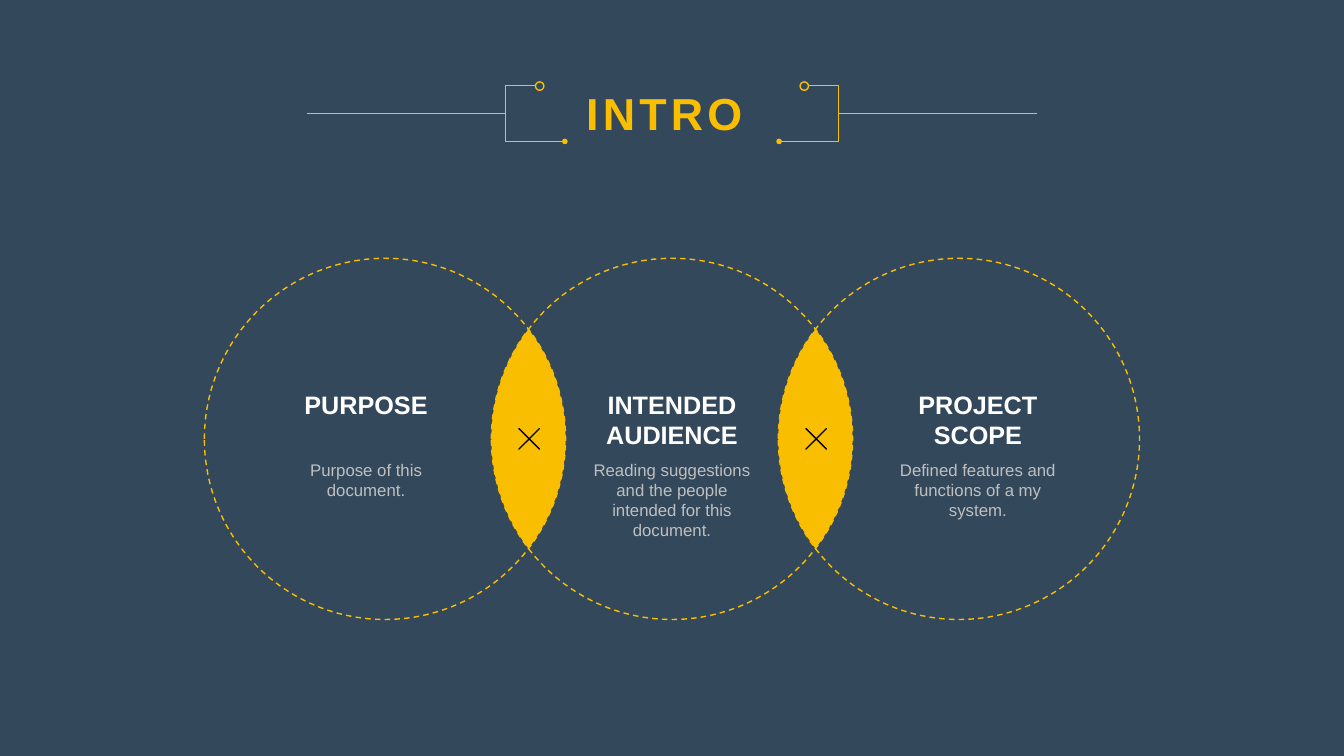
import math
from dataclasses import dataclass

import lxml.etree
import pptx
import pptx.dml.color
import pptx.enum.dml
import pptx.enum.shapes
import pptx.enum.text
import pptx.oxml.ns
import pptx.util

PX = 6350  # EMU in one px: the slide is 1920 by 1080 px
WIDTH, HEIGHT = 1920, 1080
CENTER_X = WIDTH // 2
CIRCLE_Y = 627
RADIUS = 258
PITCH = 410
SHAPE = pptx.enum.shapes.MSO_SHAPE
qn = pptx.oxml.ns.qn


@dataclass(frozen=True)
class Theme:
    veil: str = "001B33"
    veil_alpha: int = 80
    accent: str = "FABE00"
    heading: str = "FFFFFF"
    body: str = "BFBFBF"
    cross: str = "000000"
    font: str = "Arial"
    title_size: int = 32
    heading_size: int = 18
    body_size: int = 12
    thin: float = 0.5
    line: float = 1


@dataclass(frozen=True)
class Topic:
    center_x: int
    heading: str
    body: str
    heading_height: int = 102
    body_height: int = 102


@dataclass(frozen=True)
class BracketLine:
    """Ends as distances from the slide's centre line and heights."""
    x1: int
    y1: int
    x2: int
    y2: int
    dot: bool = False


THEME = Theme()
TOPICS = [
    Topic(523, "PURPOSE", "Purpose of this document.", 58, 72),
    Topic(1397, "PROJECT SCOPE", "Defined features and functions of a my system."),
    Topic(960, "INTENDED AUDIENCE",
          "Reading suggestions and the people intended for this document."),
]
BRACKET = [
    BracketLine(195, 122, 238, 122),
    BracketLine(153, 202, 238, 202, dot=True),
    BracketLine(238, 122, 238, 202),
    BracketLine(238, 162, 522, 162),
]


def px(n: float) -> pptx.util.Emu:
    return pptx.util.Emu(round(n * PX))


def rgb(color: str) -> pptx.dml.color.RGBColor:
    return pptx.dml.color.RGBColor.from_string(color)


def fill_flat(sp, color: str) -> None:
    """Give a shape a plain fill with no line or shadow."""
    sp.shadow.inherit = False
    sp.fill.solid()
    sp.fill.fore_color.rgb = rgb(color)
    sp.line.fill.background()


def add_veil(s) -> None:
    """Cover the white background with a translucent dark sheet."""
    sp = s.shapes.add_shape(SHAPE.RECTANGLE, 0, 0, px(WIDTH), px(HEIGHT))
    fill_flat(sp, THEME.veil)
    color = sp._element.spPr.find(f"{qn('a:solidFill')}/{qn('a:srgbClr')}")
    lxml.etree.SubElement(color, qn("a:alpha"), val=str(THEME.veil_alpha * 1000))


def add_outline(s, kind, center_x: int, center_y: int, size: int, color: str):
    """Add an unfilled square preset shape around a centre."""
    sp = s.shapes.add_shape(kind, px(center_x - size / 2), px(center_y - size / 2),
                            px(size), px(size))
    sp.shadow.inherit = False
    sp.fill.background()
    sp.line.color.rgb = rgb(color)
    sp.line.width = pptx.util.Pt(THEME.line)
    return sp


def add_lens(s, center_x: int) -> None:
    """Fill the overlap of two neighbouring circles with four curved quarters."""
    angle = math.acos(PITCH / 2 / RADIUS)
    pull = 4 / 3 * math.tan(angle / 4) * RADIUS
    half_width = RADIUS - PITCH / 2
    half_height = RADIUS * math.sin(angle)
    lean = (pull * math.sin(angle), half_height - pull * math.cos(angle))
    quarter = [(0, half_height), lean, (half_width, pull), (half_width, 0)]
    outline = [(0, -half_height)]
    for side in (1, -1):
        upper = [(side * x, -side * y) for x, y in quarter]
        lower = [(side * x, side * y) for x, y in reversed(quarter)]
        outline += upper[1:] + lower[1:]
    points = [(px(center_x + x), px(CIRCLE_Y + y)) for x, y in outline]
    builder = s.shapes.build_freeform(*points[0])
    builder.add_line_segments(points[1:], close=True)
    sp = builder.convert_to_shape()
    fill_flat(sp, THEME.accent)
    segments = list(sp._element.iter(qn("a:lnTo")))
    for i in range(0, len(segments), 3):
        curve = lxml.etree.Element(qn("a:cubicBezTo"))
        segments[i].addprevious(curve)
        for segment in segments[i:i + 3]:
            curve.append(segment[0])
            segment.getparent().remove(segment)


def add_text(s, text: str, center_x: int, top: int, width: int, height: int,
             size: int, color: str, bold: bool = False):
    sp = s.shapes.add_textbox(px(center_x - width / 2), px(top), px(width), px(height))
    tf = sp.text_frame
    tf.word_wrap = True
    tf.auto_size = pptx.enum.text.MSO_AUTO_SIZE.SHAPE_TO_FIT_TEXT
    tf.text = text
    p = tf.paragraphs[0]
    p.alignment = pptx.enum.text.PP_ALIGN.CENTER
    r = p.runs[0]
    r.font.name = THEME.font
    r.font.size = pptx.util.Pt(size)
    r.font.bold = bold
    r.font.color.rgb = rgb(color)
    return r


def add_bracket(s, side: int) -> None:
    """Draw the title bracket; side is 1 for right and -1 for left."""
    for b in BRACKET:
        line = s.shapes.add_connector(
            pptx.enum.shapes.MSO_CONNECTOR.STRAIGHT,
            px(CENTER_X + side * b.x1), px(b.y1), px(CENTER_X + side * b.x2), px(b.y2))
        line.line.color.rgb = rgb(THEME.accent)
        line.line.width = pptx.util.Pt(THEME.thin)
        if b.dot:
            lxml.etree.SubElement(line.line._get_or_add_ln(), qn("a:headEnd"),
                                  type="oval", w="sm", len="sm")
        lxml.etree.SubElement(line._element.spPr, qn("a:effectLst"))
    add_outline(s, SHAPE.OVAL, CENTER_X + side * 189, 123, 12, THEME.accent)


def main() -> None:
    prs = pptx.Presentation()
    prs.slide_width, prs.slide_height = px(WIDTH), px(HEIGHT)
    s = prs.slides.add_slide(prs.slide_layouts[6])
    add_veil(s)

    for i in (-1, 0, 1):
        circle = add_outline(s, SHAPE.OVAL, CENTER_X + i * PITCH, CIRCLE_Y,
                             2 * RADIUS, THEME.accent)
        circle.line.dash_style = pptx.enum.dml.MSO_LINE.DASH
    for side in (-1, 1):
        overlap_x = CENTER_X + side * PITCH // 2
        add_lens(s, overlap_x)
        cross = add_outline(s, SHAPE.MATH_MULTIPLY, overlap_x + 1, CIRCLE_Y, 56, THEME.cross)
        cross.adjustments[0] = 0

    for topic in TOPICS:
        add_text(s, topic.heading, topic.center_x, 549, 322, topic.heading_height,
                 THEME.heading_size, THEME.heading, bold=True)
        add_text(s, topic.body, topic.center_x, 649, 270, topic.body_height,
                 THEME.body_size, THEME.body)

    title = add_text(s, "INTRO", 949, 116, 390, 92, THEME.title_size, THEME.accent, bold=True)
    title.font._element.set("spc", "300")
    for side in (1, -1):
        add_bracket(s, side)
    prs.save("out.pptx")


if __name__ == "__main__":
    main()
